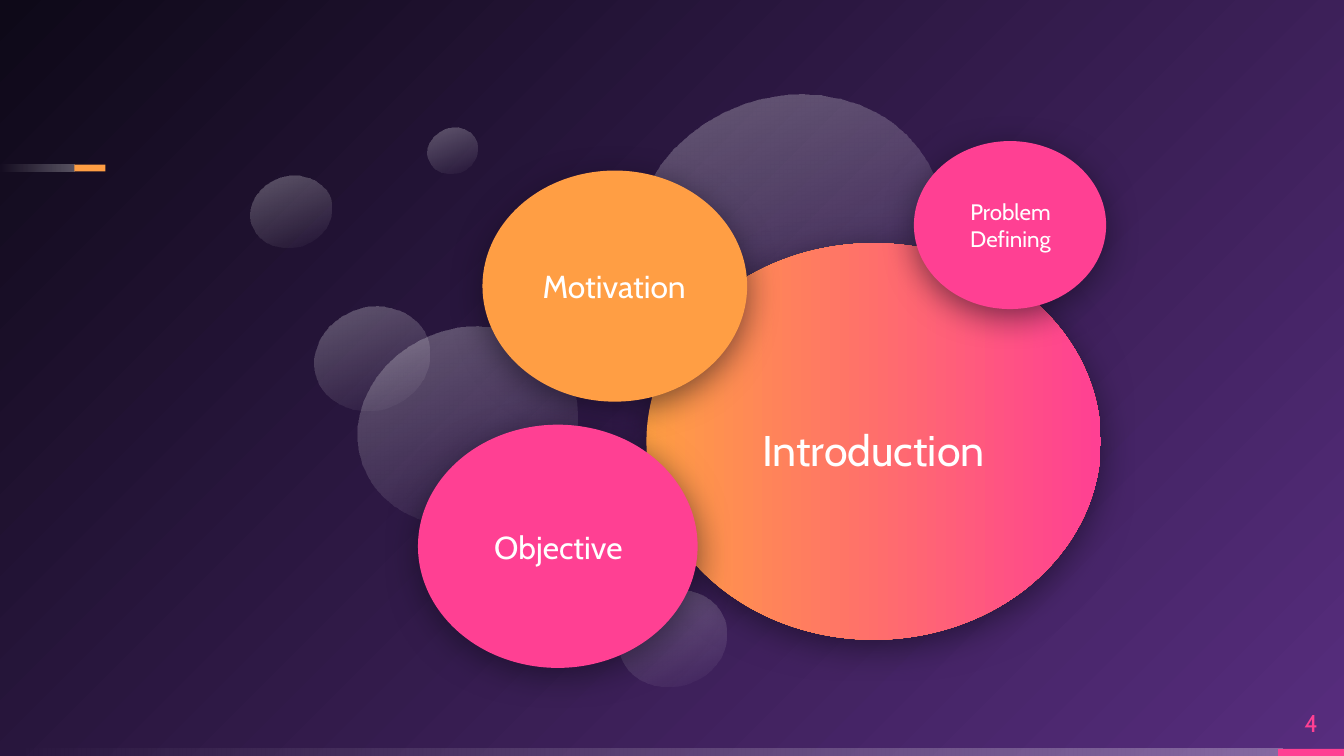
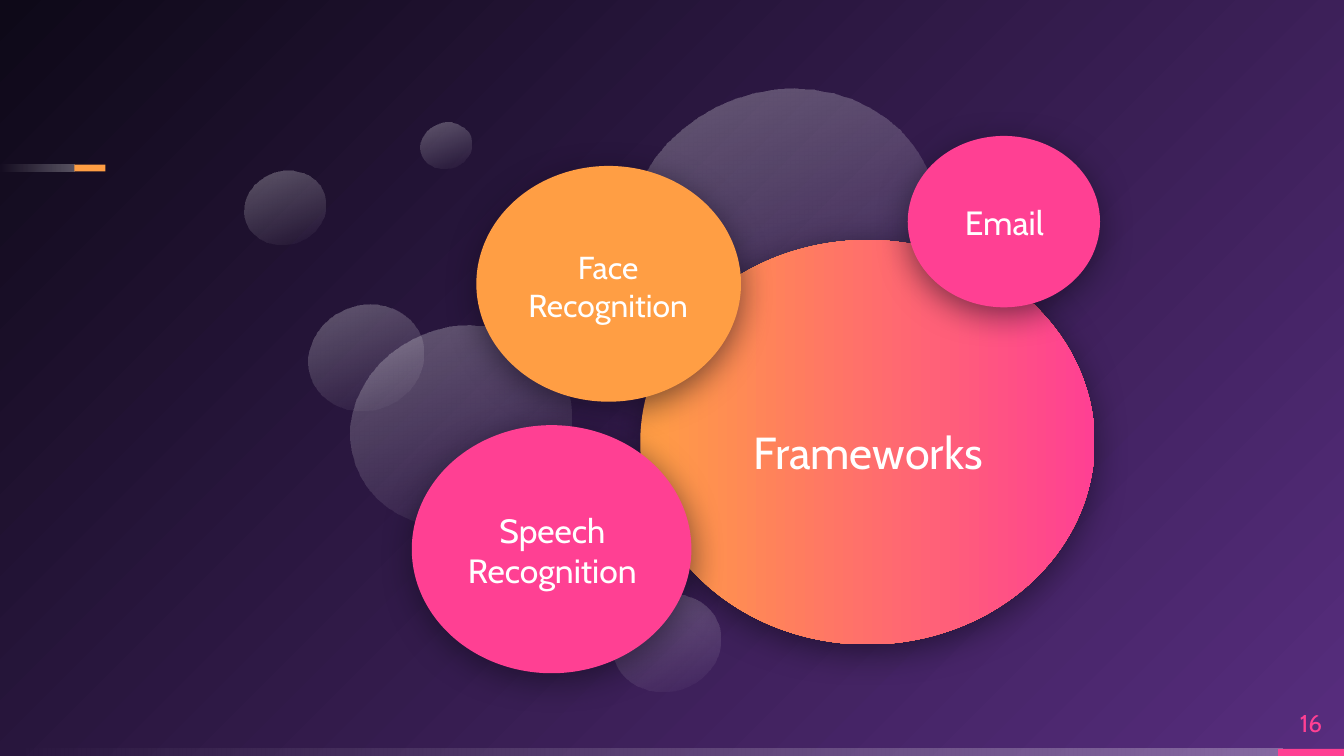
from typing import NamedTuple

from pptx import Presentation
from pptx import oxml
from pptx import util as u
from pptx.dml.color import RGBColor
from pptx.enum import shapes, text
from pptx.oxml.ns import nsdecls

WHITE = "FFFFFF"
PINK = "FF4093"
ORANGE = "FF9E44"
PURPLE = "572D7E"
NIGHT = "0E0918"
FONT = "Cabin"

Align = text.PP_ALIGN
Anchor = text.MSO_ANCHOR
RECT = shapes.MSO_SHAPE.RECTANGLE
OVAL = shapes.MSO_SHAPE.OVAL


class Box(NamedTuple):
    left: float
    top: float
    width: float
    height: float


class Stop(NamedTuple):
    position: int
    color: str
    alpha: int = 100


class Gradient(NamedTuple):
    stops: tuple[Stop, ...]
    geometry: str


class Label(NamedTuple):
    words: str
    box: Box
    size: float
    align: Align = Align.CENTER
    anchor: Anchor = Anchor.MIDDLE


class Ball(NamedTuple):
    box: Box
    fill: str | Gradient


class Fit(NamedTuple):
    """Shift and vertical stretch of the whole bubble cluster."""
    dx: float = 0
    dy: float = 0
    stretch: float = 1


class Topic(NamedTuple):
    number: str
    fit: Fit
    labels: tuple[Label, ...]


def linear(angle: int) -> str:
    return f'<a:lin ang="{angle * 60000}" scaled="0"/>'


BACKDROP = Gradient(
    (Stop(0, PURPLE), Stop(100, NIGHT)),
    '<a:path path="circle"><a:fillToRect l="100000" t="100000"/></a:path>',
)
HAZE = Gradient((Stop(0, WHITE, 29), Stop(100, WHITE, 0)), linear(180))
SUNSET = Gradient((Stop(0, ORANGE), Stop(100, PINK)), linear(0))

BUBBLE_ROTATION = 250
BUBBLES = (
    Box(334.8, 312.5, 51.1, 58.3),
    Box(136.8, 91.4, 38.2, 43.9),
    Box(198, 168.5, 104.4, 119.5),
    Box(349.2, 41, 146.2, 167.8),
    Box(172.1, 160.6, 54.7, 62.6),
    Box(230.4, 67, 23.8, 27.4),
)
BALLS = (
    Ball(Box(346.3, 130.3, 243.4, 212.4), SUNSET),
    Ball(Box(258.5, 91.4, 141.8, 123.8), ORANGE),
    Ball(Box(223.9, 227.5, 149.8, 130.3), PINK),
    Ball(Box(489.6, 75.6, 103, 90), PINK),
)
BANDS = (
    Ball(Box(0, 401.2, 687, 3.8), HAZE),
    Ball(Box(684.7, 401.2, 35.3, 3.8), PINK),
    Ball(Box(0, 88.2, 40.2, 3.6), HAZE),
    Ball(Box(39.8, 88.2, 16.7, 3.6), ORANGE),
)
NUMBER_BOX = Box(684.7, 373.7, 35.3, 27.4)

TOPICS = (
    Topic("4", Fit(), (
        Label("Introduction", Box(375.1, 190.1, 185.8, 101.5), 23),
        Label("Motivation", Box(269.3, 112.3, 119.5, 82.1), 17),
        Label("Objective", Box(245.5, 252, 107.3, 82.1), 17),
        Label("Problem Defining", Box(498.2, 90.7, 86.4, 59.8), 12),
    )),
    Topic("16", Fit(-3.3, -4.3, 1.02), (
        Label("Frameworks", Box(334.1, 190.1, 262.1, 103.7), 24),
        Label("Face Recognition", Box(259.9, 110.9, 131.8, 84.2), 17),
        Label("Speech Recognition", Box(227.5, 265.7, 136.8, 58.3), 18),
        Label("Email", Box(509.8, 100.8, 92.2, 36), 18, Align.LEFT, Anchor.TOP),
    )),
)


def rgb(color: str) -> RGBColor:
    return RGBColor.from_string(color)


def points(box: Box) -> list[u.Length]:
    return [u.Pt(length) for length in box]


def gradient_xml(gradient: Gradient) -> str:
    stops = "".join(
        f'<a:gs pos="{stop.position * 1000}"><a:srgbClr val="{stop.color}">'
        f'<a:alpha val="{stop.alpha * 1000}"/></a:srgbClr></a:gs>'
        for stop in gradient.stops
    )
    return (f'<a:gradFill {nsdecls("a")} rotWithShape="1"><a:gsLst>{stops}</a:gsLst>'
            f'{gradient.geometry}</a:gradFill>')


def add_figure(slide, kind, box: Box, fill: str | Gradient, *, rotation: float = 0):
    figure = slide.shapes.add_shape(kind, *points(box))
    figure.rotation = rotation
    figure.shadow.inherit = False
    figure.line.fill.background()
    if isinstance(fill, Gradient):
        figure.fill.background()
        properties = figure.element.spPr
        empty_fill = properties.find(oxml.ns.qn("a:noFill"))
        properties.replace(empty_fill, oxml.parse_xml(gradient_xml(fill)))
    else:
        figure.fill.solid()
        figure.fill.fore_color.rgb = rgb(fill)
    return figure


def add_glow(figure) -> None:
    """Give the figure a soft dark shadow just below it."""
    effects = figure.element.spPr.find(oxml.ns.qn("a:effectLst"))
    effects.append(oxml.parse_xml(
        f'<a:outerShdw {nsdecls("a")} blurRad="{u.Pt(18)}" dist="{u.Pt(4)}" '
        f'dir="{90 * 60000}" algn="bl" rotWithShape="0"><a:srgbClr val="{NIGHT}">'
        '<a:alpha val="55000"/></a:srgbClr></a:outerShdw>'
    ))


def add_text(slide, words: str, box: Box, *, size: float, color: str = WHITE,
             align: Align = Align.CENTER, anchor: Anchor = Anchor.MIDDLE,
             inset: float = 7.2) -> None:
    frame = slide.shapes.add_textbox(*points(box)).text_frame
    frame.word_wrap = True
    frame.vertical_anchor = anchor
    frame.margin_left = frame.margin_right = u.Pt(inset)
    frame.margin_top = frame.margin_bottom = u.Pt(inset)
    paragraph = frame.paragraphs[0]
    paragraph.alignment = align
    run = paragraph.add_run()
    run.text = words
    run.font.name = FONT
    run.font.size = u.Pt(size)
    run.font.color.rgb = rgb(color)


def fitted(box: Box, fit: Fit, *, sideways: bool = False) -> Box:
    """Move and stretch a box about its centre; a sideways one stretches in width."""
    center_x = box.left + box.width / 2 + fit.dx
    center_y = (box.top + box.height / 2) * fit.stretch + fit.dy
    width = box.width * (fit.stretch if sideways else 1)
    height = box.height * (1 if sideways else fit.stretch)
    return Box(center_x - width / 2, center_y - height / 2, width, height)


def add_frame(slide, number: str) -> None:
    """Draw the background, bands and slide number that all slides share."""
    slide.element.cSld.insert(0, oxml.parse_xml(
        f'<p:bg {nsdecls("p", "a")}><p:bgPr>{gradient_xml(BACKDROP)}'
        '<a:effectLst/></p:bgPr></p:bg>'
    ))
    for band in BANDS:
        add_figure(slide, RECT, band.box, band.fill)
    add_text(slide, number, NUMBER_BOX, size=13, color=PINK, inset=0)


def add_topic(deck, topic: Topic) -> None:
    slide = deck.slides.add_slide(deck.slide_layouts[6])
    add_frame(slide, topic.number)
    for bubble in BUBBLES:
        add_figure(slide, OVAL, fitted(bubble, topic.fit, sideways=True), HAZE,
                   rotation=BUBBLE_ROTATION)
    for ball, label in zip(BALLS, topic.labels):
        add_glow(add_figure(slide, OVAL, fitted(ball.box, topic.fit), ball.fill))
        add_text(slide, label.words, label.box, size=label.size,
                 align=label.align, anchor=label.anchor)


def main() -> None:
    deck = Presentation()
    deck.slide_width, deck.slide_height = u.Pt(720), u.Pt(405)
    for topic in TOPICS:
        add_topic(deck, topic)
    deck.save("out.pptx")


if __name__ == "__main__":
    main()
